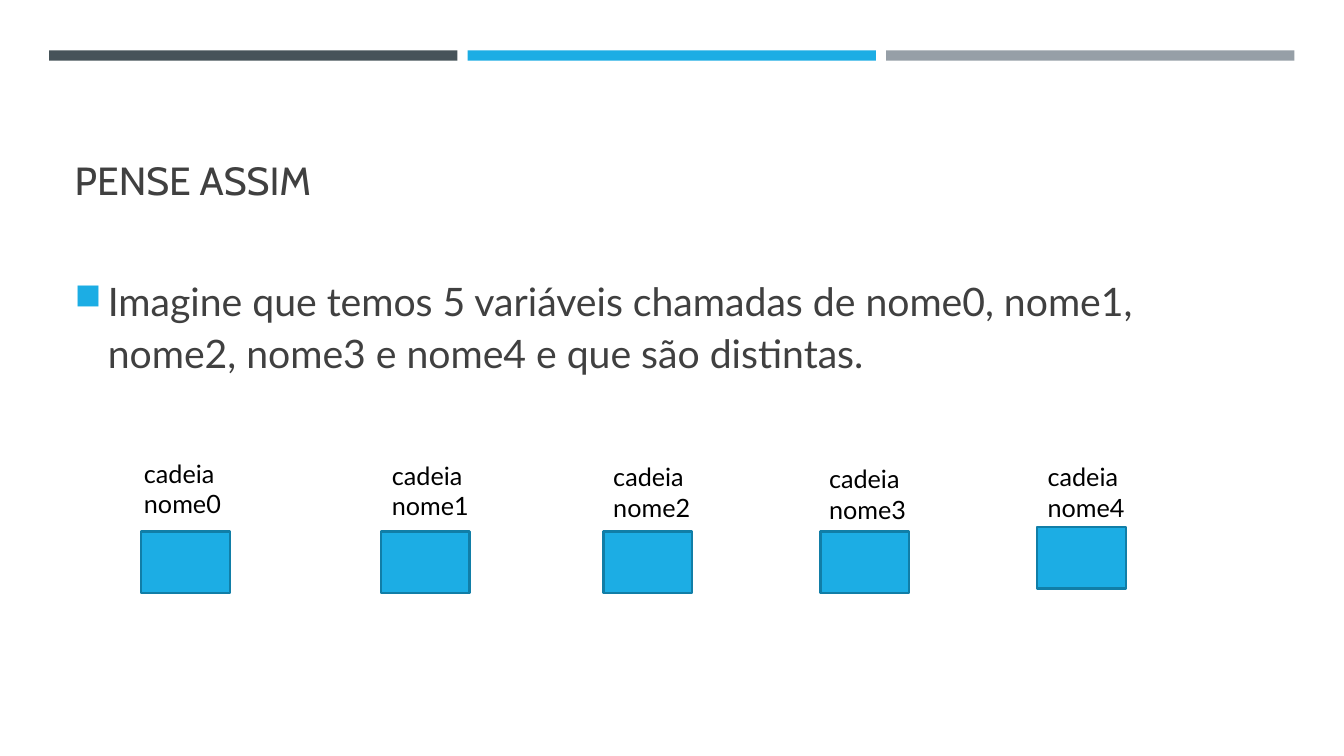
from lxml import etree
from pptx import Presentation
from pptx.dml.color import RGBColor
from pptx.enum import shapes, text
from pptx.oxml import ns
from pptx.util import Cm, Pt

COLORS = {
    "slate": "465359",
    "blue": "1CADE4",
    "gray": "969FA7",
    "outline": "117EA7",
    "text": "404040",
    "label": "000000",
}


def rgb(name):
    return RGBColor.from_string(COLORS[name])


def place(sp, box):
    sp.left, sp.top, sp.width, sp.height = (Cm(v) for v in box)


def add_rect(s, box, fill, line=None):
    sp = s.shapes.add_shape(shapes.MSO_SHAPE.RECTANGLE, *(Cm(v) for v in box))
    sp.shadow.inherit = False
    sp.fill.solid()
    sp.fill.fore_color.rgb = rgb(fill)
    if line:
        sp.line.color.rgb = rgb(line)
        sp.line.width = Pt(1.75)
    else:
        sp.line.fill.background()
    return sp


def add_text(s, box):
    sp = s.shapes.add_textbox(*(Cm(v) for v in box))
    sp.text_frame.word_wrap = True
    return sp.text_frame


def add_run(p, words, size, font, color):
    r = p.add_run()
    r.text = words
    r.font.size = Pt(size)
    r.font.name = font
    r.font.color.rgb = rgb(color)


def add_bullet(p, indent):
    pPr = p._p.get_or_add_pPr()
    pPr.set("marL", str(Cm(indent)))
    pPr.set("indent", str(-Cm(indent)))
    clr = etree.SubElement(pPr, ns.qn("a:buClr"))
    etree.SubElement(clr, ns.qn("a:srgbClr")).set("val", COLORS["blue"])
    etree.SubElement(pPr, ns.qn("a:buSzPct")).set("val", "92000")
    etree.SubElement(pPr, ns.qn("a:buChar")).set("char", "■")


def header_bars(s, box):
    left, top, width, height = box
    gap = 0.26
    bar = (width - 2 * gap) / 3
    for i, color in enumerate(("slate", "blue", "gray")):
        add_rect(s, (left + i * (bar + gap), top, bar, height), color)


def title(s, box):
    sp = s.shapes.title
    place(sp, box)
    tf = sp.text_frame
    tf.auto_size = text.MSO_AUTO_SIZE.NONE
    tf.vertical_anchor = text.MSO_ANCHOR.BOTTOM
    p = tf.paragraphs[0]
    p.alignment = text.PP_ALIGN.LEFT
    add_run(p, "PENSE ASSIM", 28, "Cabin", "text")


def body(s, box):
    tf = add_text(s, box)
    tf.margin_top = Cm(0.38)
    tf.margin_right = Cm(0.5)
    p = tf.paragraphs[0]
    add_bullet(p, 0.84)
    p.line_spacing = 1.1
    add_run(p, "Imagine que temos 5 variáveis chamadas de nome0, nome1, "
               "nome2, nome3 e nome4 e que são distintas.", 28, "Lato", "text")


def variables(s, box):
    left, top, _, height = box
    cell_w, cell_h = 2.24, 1.55
    cells = ((0.18, 0), (6.22, 0), (11.83, 0), (17.3, 0), (22.76, -0.11))
    labels = ((0, 0), (6.25, 0.05), (11.83, 0.08), (17.27, 0.13), (22.78, 0.08))
    for i, ((cell_x, cell_y), (label_x, label_y)) in enumerate(zip(cells, labels)):
        add_rect(s, (left + cell_x, top + height - cell_h + cell_y, cell_w, cell_h),
                 "blue", "outline")
        tf = add_text(s, (left + label_x, top + label_y, 3.28, 1.78))
        add_run(tf.paragraphs[0], "cadeia", 18, "Lato", "label")
        add_run(tf.add_paragraph(), f"nome{i}", 18, "Lato", "label")


def main():
    prs = Presentation()
    prs.slide_width, prs.slide_height = Cm(33.88), Cm(19.05)
    s = prs.slides.add_slide(prs.slide_layouts[5])
    header_bars(s, (1.24, 1.27, 31.39, 0.26))
    title(s, (1.63, 1.96, 30.63, 3.3))
    body(s, (1.63, 6.5, 30.63, 4))
    variables(s, (3.38, 11.43, 26.06, 3.51))
    prs.save("out.pptx")


if __name__ == "__main__":
    main()
